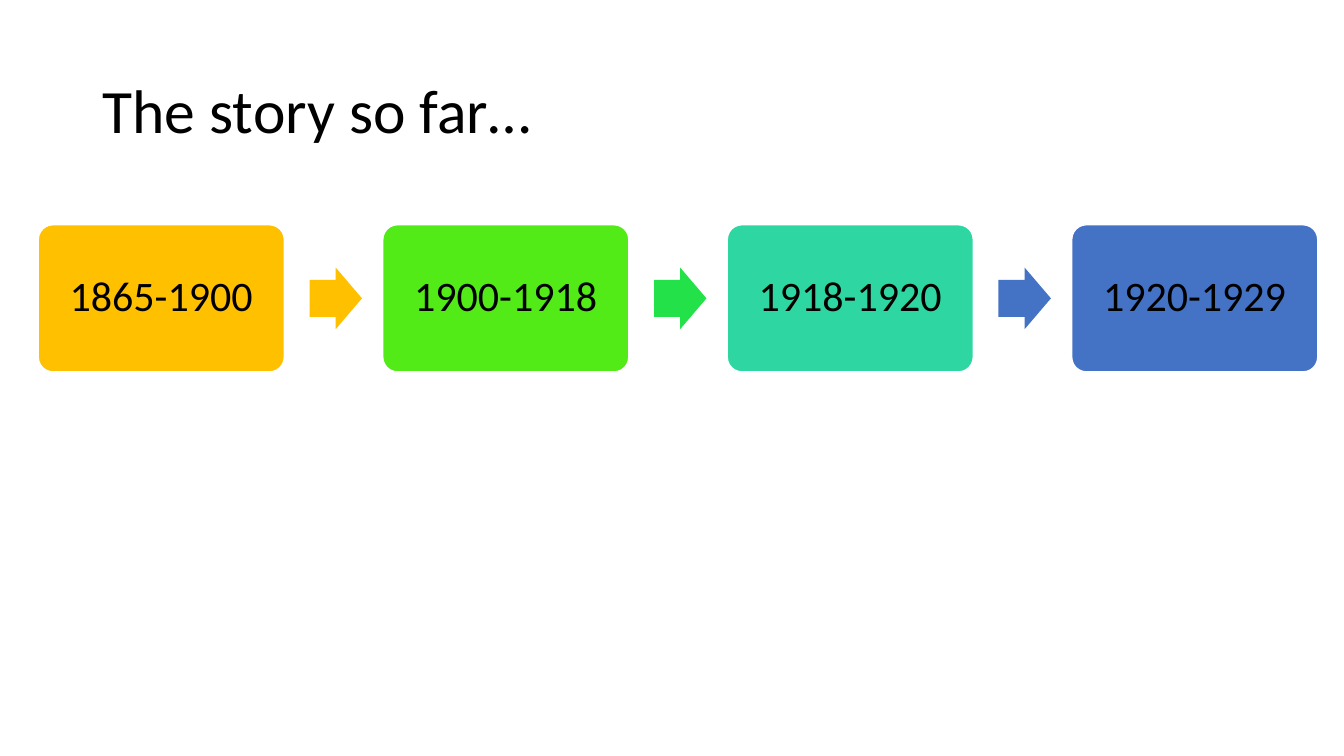
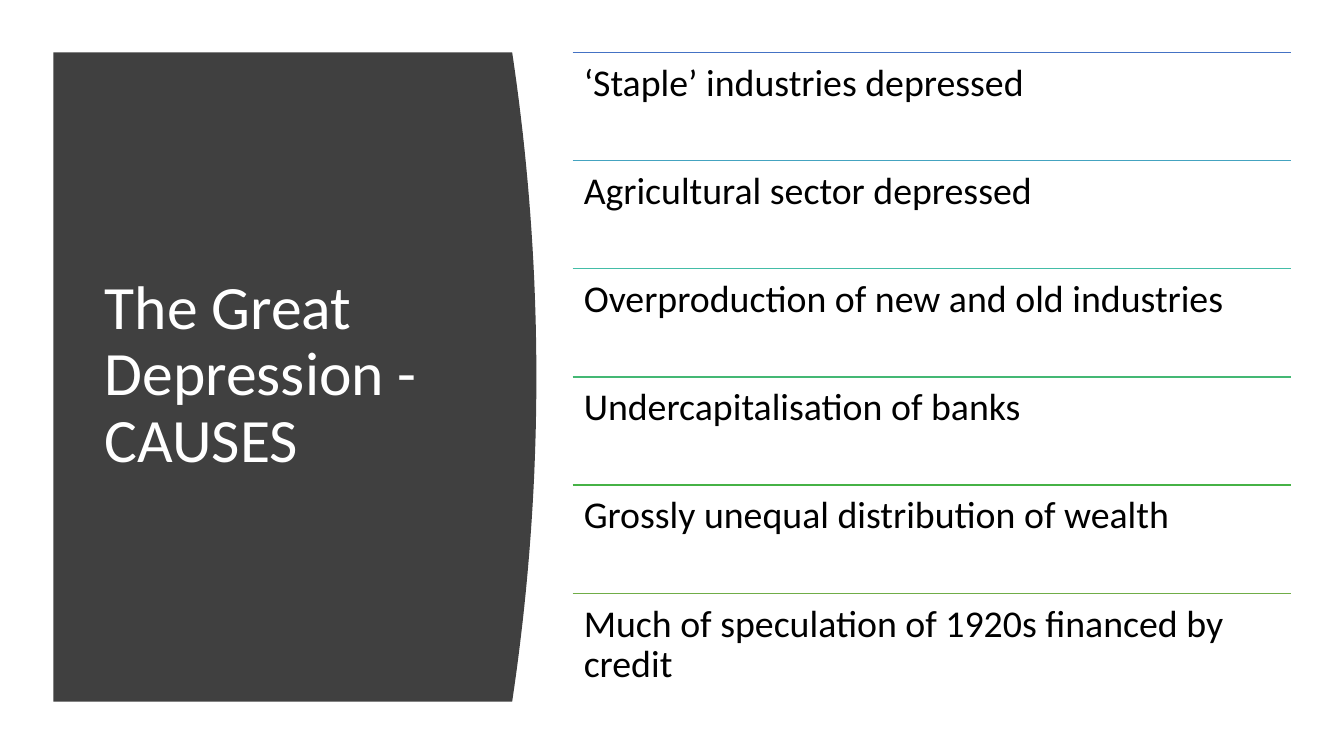
from lxml import etree
from pptx import Presentation
from pptx import util as u
from pptx.dml.color import RGBColor
from pptx.enum import shapes, text
from pptx.oxml import ns

BLACK, WHITE, CHARCOAL = "000000", "FFFFFF", "404040"
TITLE_FORMAT = {"name": "Calibri", "size": u.Pt(44)}
CARD_FORMAT = {"name": "Calibri", "size": u.Pt(30)}
CAUSE_FORMAT = {"name": "Calibri", "size": u.Pt(27)}

# period, card colour, colour of the arrow that follows
PERIODS = [
    ("1865-1900", "FFC000", "FFC000"),
    ("1900-1918", "53EB17", "23E148"),
    ("1918-1920", "2ED7A1", "4472C4"),
    ("1920-1929", "4472C4", None),
]
CAUSES = [
    ("‘Staple’ industries depressed", "4472C4"),
    ("Agricultural sector depressed", "44A3C0"),
    ("Overproduction of new and old industries", "43BDA7"),
    ("Undercapitalisation of banks", "44B874"),
    ("Grossly unequal distribution of wealth", "46B246"),
    ("Much of speculation of 1920s financed by credit", "70AD47"),
]


def colour(hex_value):
    return RGBColor.from_string(hex_value)


def inches(*lengths):
    return [u.Inches(length) for length in lengths]


def paint(shape, fill, outline=None):
    shape.shadow.inherit = False
    shape.fill.solid()
    shape.fill.fore_color.rgb = colour(fill)
    if outline:
        shape.line.color.rgb = colour(outline)
        shape.line.width = u.Pt(1)
    else:
        shape.line.fill.background()


def write(shape, wording, font_format, hex_value=BLACK, insets=(0.1, 0.05),
          anchor=text.MSO_ANCHOR.MIDDLE, alignment=text.PP_ALIGN.LEFT):
    across, down = inches(*insets)
    frame = shape.text_frame
    frame_format = {"word_wrap": True, "vertical_anchor": anchor,
                    "margin_left": across, "margin_right": across,
                    "margin_top": down, "margin_bottom": down}
    for name, value in frame_format.items():
        setattr(frame, name, value)
    paragraph = frame.paragraphs[0]
    paragraph.text = wording
    paragraph.alignment = alignment
    paragraph.line_spacing = 0.9
    for name, value in font_format.items():
        setattr(paragraph.font, name, value)
    paragraph.font.color.rgb = colour(hex_value)


def add_title(slide, box, wording, hex_value=BLACK):
    write(slide.shapes.add_textbox(*inches(*box)), wording, TITLE_FORMAT, hex_value)


def add_timeline(slide, box):
    """Row of period cards with an arrow in each gap."""
    left, top, width, height = box
    card_width, arrow_width, arrow_height, arrow_gap = 2.44, 0.52, 0.61, 0.25
    pitch = (width - card_width) / (len(PERIODS) - 1)
    for index, (period, card_fill, arrow_fill) in enumerate(PERIODS):
        card_left = left + index * pitch
        card = slide.shapes.add_shape(
            shapes.MSO_SHAPE.ROUNDED_RECTANGLE,
            *inches(card_left, top, card_width, height))
        card.adjustments[0] = 0.1
        paint(card, card_fill, WHITE)
        write(card, period, CARD_FORMAT, insets=(0.12, 0.12),
              alignment=text.PP_ALIGN.CENTER)
        if arrow_fill:
            arrow = slide.shapes.add_shape(
                shapes.MSO_SHAPE.RIGHT_ARROW,
                *inches(card_left + card_width + arrow_gap,
                        top + (height - arrow_height) / 2,
                        arrow_width, arrow_height))
            arrow.adjustments[0], arrow.adjustments[1] = 0.6, 0.5
            paint(arrow, arrow_fill)


def add_curved_panel(slide, box, bulge=0.24, steps=40):
    """Dark panel whose right edge bows outwards as a parabola."""
    left, top, width, height = box
    edge = []
    for step in range(steps + 1):
        offset = 2 * step / steps - 1
        edge.append(inches(left + width - bulge * offset ** 2,
                           top + height * step / steps))
    builder = slide.shapes.build_freeform(*inches(left, top))
    builder.add_line_segments(edge + [inches(left, top + height)], close=True)
    paint(builder.convert_to_shape(), CHARCOAL)


def add_cause_list(slide, box):
    """Equal rows, each under a coloured rule."""
    left, top, width, height = box
    row_height = height / len(CAUSES)
    for index, (cause, rule_colour) in enumerate(CAUSES):
        row_top = top + index * row_height
        rule = slide.shapes.add_connector(
            shapes.MSO_CONNECTOR.STRAIGHT,
            *inches(left, row_top, left + width, row_top))
        rule.line.color.rgb = colour(rule_colour)
        rule.line.width = u.Pt(1)
        etree.SubElement(rule._element.spPr, ns.qn("a:effectLst"))
        row = slide.shapes.add_textbox(*inches(left, row_top, width, row_height))
        write(row, cause, CAUSE_FORMAT, insets=(0.11, 0.11),
              anchor=text.MSO_ANCHOR.TOP)


def build_story_slide(slide):
    add_title(slide, (0.92, 0.4, 11.5, 1.45), "The story so far…")
    add_timeline(slide, (0.38, 2.23, 12.69, 1.46))


def build_causes_slide(slide):
    add_curved_panel(slide, (0.53, 0.52, 4.79, 6.44))
    add_title(slide, (0.94, 1.11, 3.74, 5.24), "The Great Depression - CAUSES", WHITE)
    add_cause_list(slide, (5.68, 0.52, 7.12, 6.44))


def main():
    presentation = Presentation()
    presentation.slide_width, presentation.slide_height = inches(13.33, 7.5)
    blank_layout = presentation.slide_layouts[6]
    for build in (build_story_slide, build_causes_slide):
        build(presentation.slides.add_slide(blank_layout))
    presentation.save("out.pptx")


if __name__ == "__main__":
    main()
